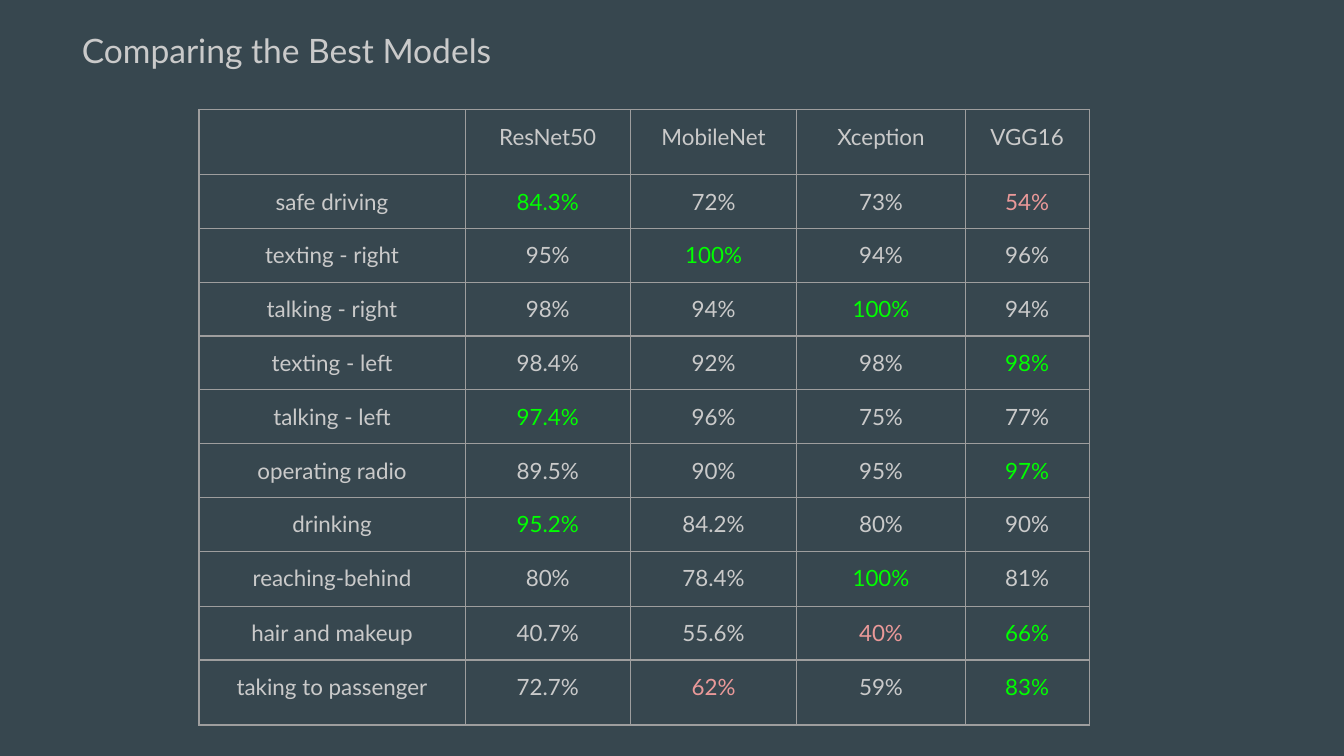
import pptx
import pptx.dml.color
import pptx.enum.text
import pptx.oxml
import pptx.oxml.ns
import pptx.util

Pt = pptx.util.Pt

FONT = "Lato"
BACKGROUND, TEXT, BORDER = "37474F", "CACACA", "9E9E9E"
BEST, WORST = "00FF00", "EA9999"
INSET = 7.2

COLUMN_WIDTHS = [142.6, 88.5, 89.2, 90.2, 66.4]
ROW_HEIGHTS = [34.8] + [28.8] * 7 + [29.5, 28.8, 34.8]

ROWS = [
    ["", "ResNet50", "MobileNet", "Xception", "VGG16"],
    ["safe driving", "84.3%", "72%", "73%", "54%"],
    ["texting - right", "95%", "100%", "94%", "96%"],
    ["talking - right", "98%", "94%", "100%", "94%"],
    ["texting - left", "98.4%", "92%", "98%", "98%"],
    ["talking - left", "97.4%", "96%", "75%", "77%"],
    ["operating radio", "89.5%", "90%", "95%", "97%"],
    ["drinking", "95.2%", "84.2%", "80%", "90%"],
    ["reaching-behind", "80%", "78.4%", "100%", "81%"],
    ["hair and makeup", "40.7%", "55.6%", "40%", "66%"],
    ["taking to passenger", "72.7%", "62%", "59%", "83%"],
]

# Highlighted scores as (row, column)
HIGHLIGHTS = {
    **dict.fromkeys([(1, 1), (2, 2), (3, 3), (4, 4), (5, 1), (6, 4),
                     (7, 1), (8, 3), (9, 4), (10, 4)], BEST),
    **dict.fromkeys([(1, 4), (9, 3), (10, 2)], WORST),
}


def color(value):
    return pptx.dml.color.RGBColor.from_string(value)


def style_paragraph(paragraph, size, value):
    paragraph.font.name = FONT
    paragraph.font.size = Pt(size)
    paragraph.font.color.rgb = color(value)


def set_insets(holder):
    holder.margin_left = holder.margin_right = Pt(INSET)
    holder.margin_top = holder.margin_bottom = Pt(INSET)


def add_title(slide, text):
    shape = slide.shapes.add_textbox(Pt(36.7), Pt(8.6), Pt(253.4), Pt(54.7))
    frame = shape.text_frame
    frame.word_wrap = True
    set_insets(frame)
    frame.text = text
    style_paragraph(frame.paragraphs[0], 18, TEXT)


def add_borders(cell):
    properties = cell._tc.get_or_add_tcPr()
    # Border lines come before the fill in a cell's properties
    for index, side in enumerate(("lnL", "lnR", "lnT", "lnB")):
        properties.insert(index, pptx.oxml.parse_xml(
            f'<a:{side} {pptx.oxml.ns.nsdecls("a")} w="{Pt(0.75)}">'
            f'<a:solidFill><a:srgbClr val="{BORDER}"/></a:solidFill></a:{side}>'))


def fill_cell(cell, text, value):
    cell.fill.background()
    add_borders(cell)
    set_insets(cell)
    cell.text = text
    paragraph = cell.text_frame.paragraphs[0]
    paragraph.alignment = pptx.enum.text.PP_ALIGN.CENTER
    style_paragraph(paragraph, 12, value)


def add_score_table(slide):
    table = slide.shapes.add_table(
        len(ROWS), len(COLUMN_WIDTHS), Pt(106.6), Pt(58.7),
        Pt(sum(COLUMN_WIDTHS)), Pt(sum(ROW_HEIGHTS))).table
    table.first_row = table.horz_banding = False
    for column, width in zip(table.columns, COLUMN_WIDTHS):
        column.width = Pt(width)
    for row, height in zip(table.rows, ROW_HEIGHTS):
        row.height = Pt(height)
    for i, texts in enumerate(ROWS):
        for j, text in enumerate(texts):
            fill_cell(table.cell(i, j), text, HIGHLIGHTS.get((i, j), TEXT))


def main():
    presentation = pptx.Presentation()
    presentation.slide_width, presentation.slide_height = Pt(720), Pt(405)
    slide = presentation.slides.add_slide(presentation.slide_layouts[6])

    # Background
    slide.background.fill.solid()
    slide.background.fill.fore_color.rgb = color(BACKGROUND)

    # Content
    add_title(slide, "Comparing the Best Models")
    add_score_table(slide)
    presentation.save("out.pptx")


if __name__ == "__main__":
    main()
